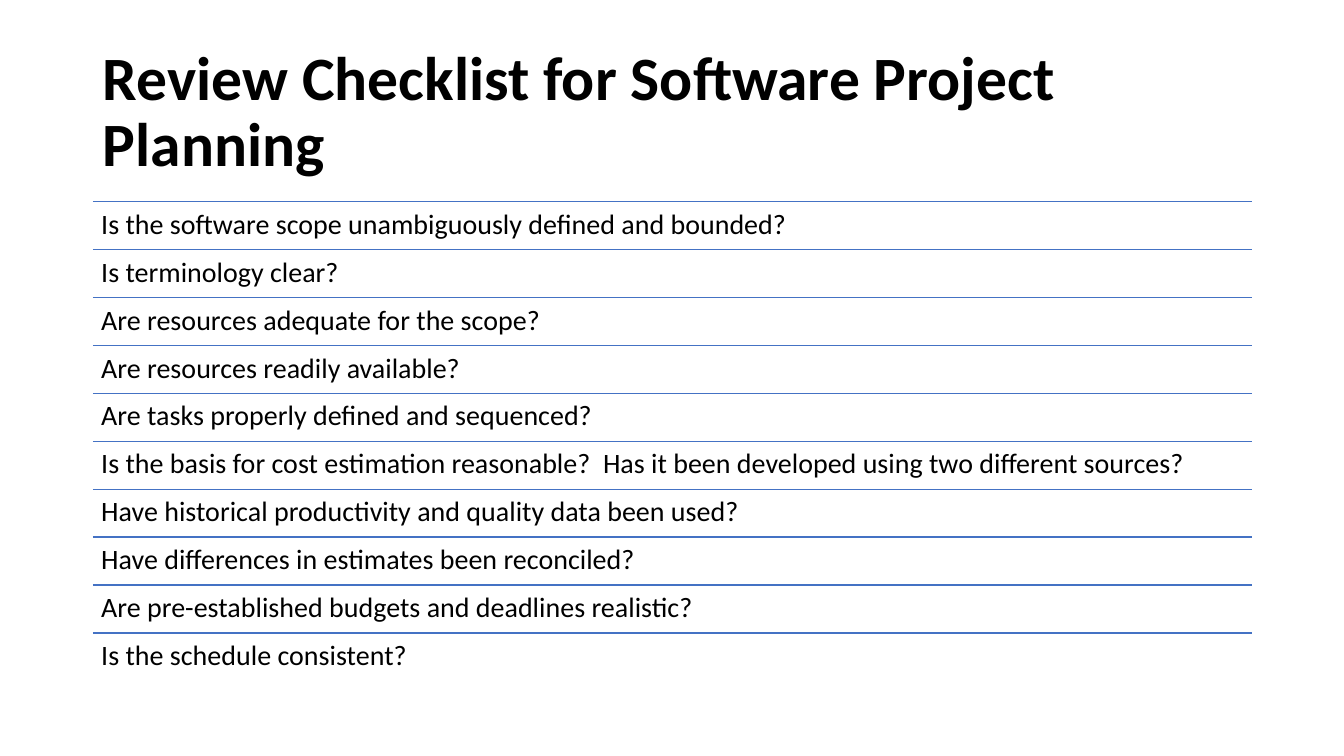
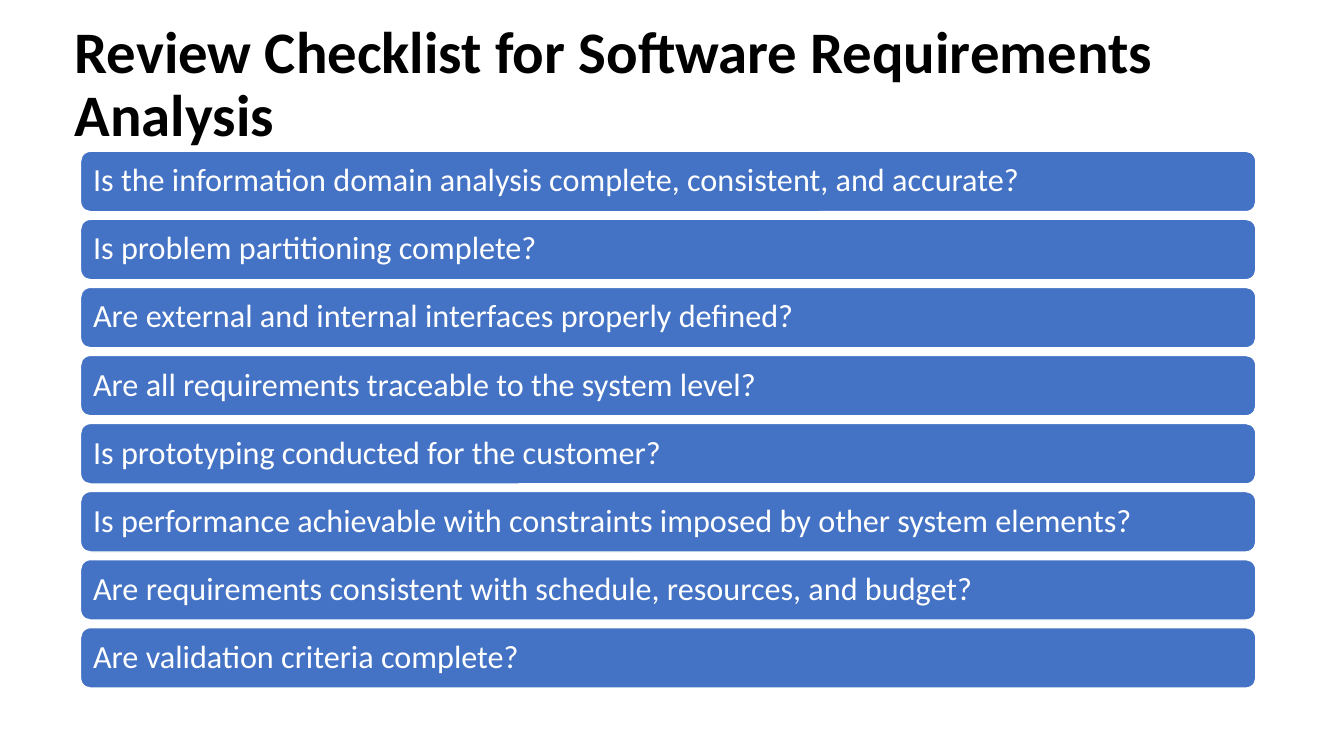
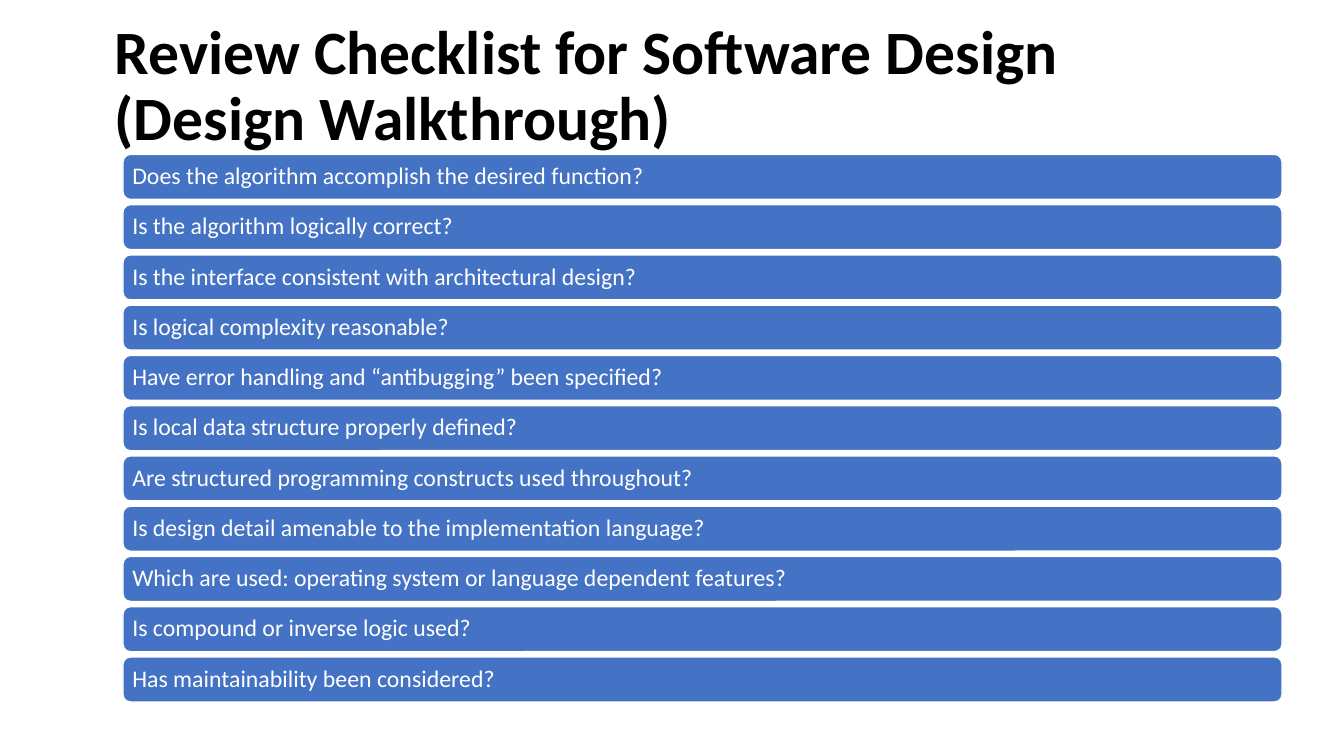
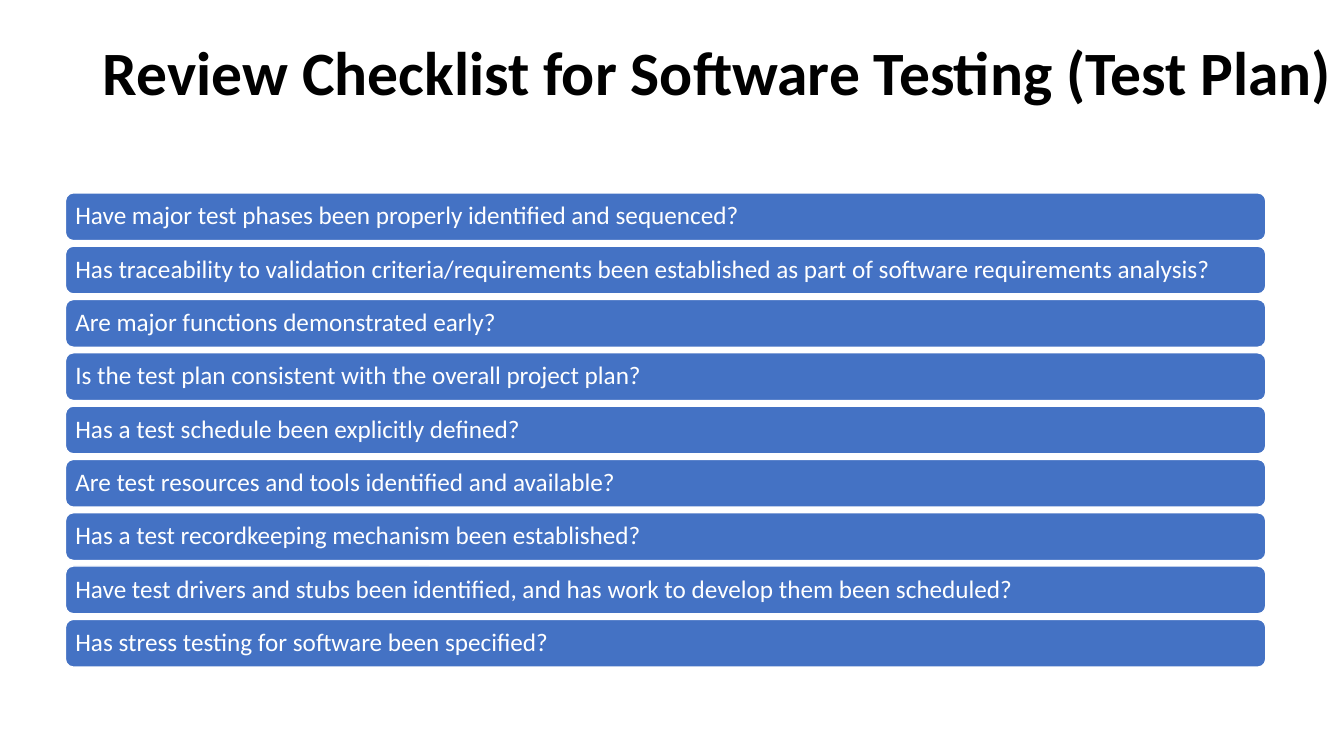
from collections.abc import Callable
from dataclasses import dataclass

from lxml.etree import SubElement
from pptx import Presentation
from pptx.dml.color import RGBColor
from pptx.enum.shapes import MSO_CONNECTOR, MSO_SHAPE
from pptx.enum.text import MSO_ANCHOR, MSO_AUTO_SIZE, PP_ALIGN
from pptx.oxml.ns import qn
from pptx.slide import Slide
from pptx.text.text import TextFrame, _Paragraph
from pptx.util import Cm, Pt


@dataclass(frozen=True)
class Theme:
    font: str = "Calibri"
    ink: RGBColor = RGBColor(0x00, 0x00, 0x00)
    paper: RGBColor = RGBColor(0xFF, 0xFF, 0xFF)
    accent: RGBColor = RGBColor(0x44, 0x72, 0xC4)
    title_size: int = 44
    long_title_size: int = 42
    ruled_size: int = 20
    large_bar_size: int = 23
    medium_bar_size: int = 18
    small_bar_size: int = 17
    line_width: float = 1
    line_spacing: float = 0.9
    inset_ratio: float = 0.3


THEME = Theme()


@dataclass(frozen=True)
class Box:
    """A rectangle in centimetres."""

    left: float
    top: float
    width: float
    height: float


@dataclass(frozen=True)
class Checklist:
    title_lines: tuple[str, ...]
    title_box: Box
    area: Box
    gap: float
    text_size: int
    draw_item: Callable[[Slide, Box, str, int], None]
    questions: tuple[str, ...]
    title_size: int = THEME.title_size


def format_paragraph(paragraph: _Paragraph, size: int, color: RGBColor, bold: bool = False) -> None:
    paragraph.alignment = PP_ALIGN.LEFT
    paragraph.line_spacing = THEME.line_spacing
    paragraph.font.name = THEME.font
    paragraph.font.size = Pt(size)
    paragraph.font.bold = bold
    paragraph.font.color.rgb = color


def fill_item(frame: TextFrame, text: str, size: int, color: RGBColor, anchor: MSO_ANCHOR) -> None:
    """Write one question, with margins in proportion to its type size."""
    inset = round(Pt(size) * THEME.inset_ratio)
    frame.margin_left = frame.margin_right = inset
    frame.margin_top = frame.margin_bottom = inset
    frame.word_wrap = True
    frame.vertical_anchor = anchor
    frame.text = text
    format_paragraph(frame.paragraphs[0], size, color)


def draw_ruled_item(slide: Slide, box: Box, text: str, size: int) -> None:
    left, top, width = Cm(box.left), Cm(box.top), Cm(box.width)
    rule = slide.shapes.add_connector(MSO_CONNECTOR.STRAIGHT, left, top, left + width, top)
    rule.line.color.rgb = THEME.accent
    rule.line.width = Pt(THEME.line_width)
    SubElement(rule.element.spPr, qn("a:effectLst"))
    text_box = slide.shapes.add_textbox(left, top, width, Cm(box.height))
    fill_item(text_box.text_frame, text, size, THEME.ink, MSO_ANCHOR.TOP)


def draw_bar_item(slide: Slide, box: Box, text: str, size: int) -> None:
    bar = slide.shapes.add_shape(
        MSO_SHAPE.ROUNDED_RECTANGLE, Cm(box.left), Cm(box.top), Cm(box.width), Cm(box.height)
    )
    bar.shadow.inherit = False
    bar.fill.solid()
    bar.fill.fore_color.rgb = THEME.accent
    bar.line.color.rgb = THEME.paper
    bar.line.width = Pt(THEME.line_width)
    fill_item(bar.text_frame, text, size, THEME.paper, MSO_ANCHOR.MIDDLE)


def draw_title(slide: Slide, checklist: Checklist) -> None:
    title, box = slide.shapes.title, checklist.title_box
    title.left, title.top = Cm(box.left), Cm(box.top)
    title.width, title.height = Cm(box.width), Cm(box.height)
    frame = title.text_frame
    frame.auto_size = MSO_AUTO_SIZE.NONE
    frame.word_wrap = True
    frame.vertical_anchor = MSO_ANCHOR.MIDDLE
    paragraph = frame.paragraphs[0]
    for index, line in enumerate(checklist.title_lines):
        if index:
            paragraph.add_line_break()
        paragraph.add_run().text = line
    format_paragraph(paragraph, checklist.title_size, THEME.ink, bold=True)


def draw_questions(slide: Slide, checklist: Checklist) -> None:
    """Share the area's height equally among the questions."""
    area, count = checklist.area, len(checklist.questions)
    height = (area.height - checklist.gap * (count - 1)) / count
    for index, question in enumerate(checklist.questions):
        top = area.top + index * (height + checklist.gap)
        box = Box(area.left, top, area.width, height)
        checklist.draw_item(slide, box, question, checklist.text_size)


CHECKLISTS = (
    Checklist(
        title_lines=("Review Checklist for Software Project Planning",),
        title_box=Box(2.34, 1.02, 30.2, 3.68),
        area=Box(2.34, 5.08, 29.21, 12.08),
        gap=0,
        text_size=THEME.ruled_size,
        draw_item=draw_ruled_item,
        questions=(
            "Is the software scope unambiguously defined and bounded?",
            "Is terminology clear?",
            "Are resources adequate for the scope?",
            "Are resources readily available?",
            "Are tasks properly defined and sequenced?",
            "Is the basis for cost estimation reasonable?  Has it been developed using two different sources?",
            "Have historical productivity and quality data been used?",
            "Have differences in estimates been reconciled?",
            "Are pre-established budgets and deadlines realistic?",
            "Is the schedule consistent?",
        ),
    ),
    Checklist(
        title_lines=("Review Checklist for Software Requirements Analysis",),
        title_box=Box(1.63, 0.33, 31.78, 3.68),
        title_size=THEME.long_title_size,
        area=Box(2.03, 3.81, 29.62, 13.53),
        gap=0.19,
        text_size=THEME.large_bar_size,
        draw_item=draw_bar_item,
        questions=(
            "Is the information domain analysis complete, consistent, and accurate?",
            "Is problem partitioning complete?",
            "Are external and internal interfaces properly defined?",
            "Are all requirements traceable to the system level?",
            "Is prototyping conducted for the customer?",
            "Is performance achievable with constraints imposed by other system elements?",
            "Are requirements consistent with schedule, resources, and budget?",
            "Are validation criteria complete?",
        ),
    ),
    Checklist(
        title_lines=("Review Checklist for Software Design", "(Design Walkthrough)"),
        title_box=Box(2.64, 0.36, 29.21, 3.68),
        area=Box(3.1, 3.89, 29.21, 13.8),
        gap=0.13,
        text_size=THEME.small_bar_size,
        draw_item=draw_bar_item,
        questions=(
            "Does the algorithm accomplish the desired function?",
            "Is the algorithm logically correct?",
            "Is the interface consistent with architectural design?",
            "Is logical complexity reasonable?",
            "Have error handling and “antibugging” been specified?",
            "Is local data structure properly defined?",
            "Are structured programming constructs used throughout?",
            "Is design detail amenable to the implementation language?",
            "Which are used: operating system or language dependent features?",
            "Is compound or inverse logic used?",
            "Has maintainability been considered?",
        ),
    ),
    Checklist(
        title_lines=("Review Checklist for Software Testing (Test Plan)",),
        title_box=Box(2.34, 0.58, 31.55, 2.64),
        area=Box(1.65, 4.86, 30.25, 11.95),
        gap=0.14,
        text_size=THEME.medium_bar_size,
        draw_item=draw_bar_item,
        questions=(
            "Have major test phases been properly identified and sequenced?",
            "Has traceability to validation criteria/requirements been established as part of "
            "software requirements analysis?",
            "Are major functions demonstrated early?",
            "Is the test plan consistent with the overall project plan?",
            "Has a test schedule been explicitly defined?",
            "Are test resources and tools identified and available?",
            "Has a test recordkeeping mechanism been established?",
            "Have test drivers and stubs been identified, and has work to develop them been scheduled?",
            "Has stress testing for software been specified?",
        ),
    ),
)


def main() -> None:
    presentation = Presentation()
    presentation.slide_width, presentation.slide_height = Cm(33.87), Cm(19.05)
    title_only = presentation.slide_layouts.get_by_name("Title Only")
    for checklist in CHECKLISTS:
        slide = presentation.slides.add_slide(title_only)
        draw_title(slide, checklist)
        draw_questions(slide, checklist)
    presentation.save("out.pptx")


if __name__ == "__main__":
    main()
